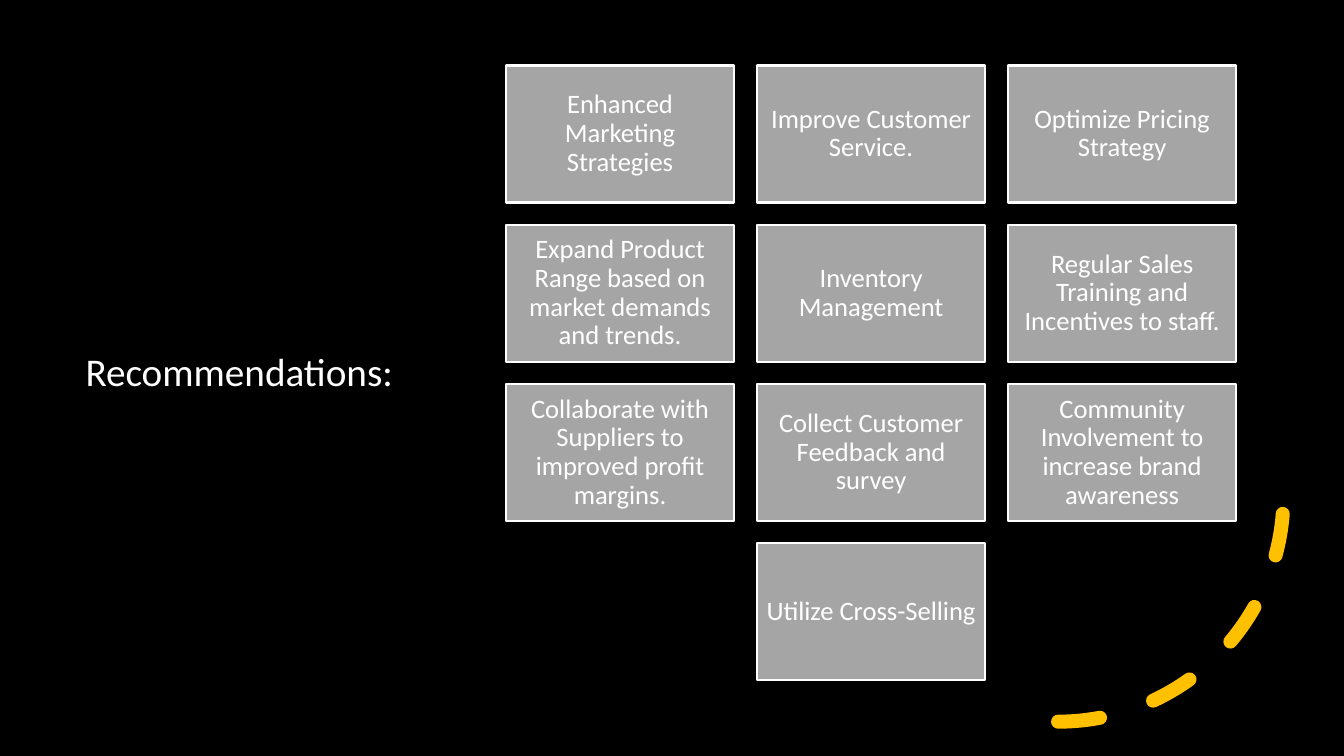
from pptx import Presentation
from pptx.dml.color import RGBColor
from pptx.enum.dml import MSO_LINE
from pptx.enum.shapes import MSO_SHAPE
from pptx.enum.text import MSO_ANCHOR, PP_ALIGN
from pptx.oxml.ns import qn
from pptx.util import Inches, Pt
from dataclasses import dataclass

TITLE = "Recommendations:"
ADVICE = [
    ["Enhanced Marketing Strategies", "Improve Customer Service.",
     "Optimize Pricing Strategy"],
    ["Expand Product Range based on market demands and trends.",
     "Inventory Management",
     "Regular Sales Training and Incentives to staff."],
    ["Collaborate with Suppliers to improved profit margins.",
     "Collect Customer Feedback and survey",
     "Community Involvement to increase brand awareness"],
    ["Utilize Cross-Selling"],
]


@dataclass(frozen=True)
class Theme:
    """Colours, font and sizes in points."""
    back: str = "000000"
    text: str = "FFFFFF"
    card: str = "A5A5A5"
    arc: str = "FFC000"
    font: str = "Calibri"
    title: int = 28
    body: int = 19
    edge: float = 1.5
    stroke: int = 10


THEME = Theme()
WIDE, HIGH = 13.33, 7.5
LEFT, TOP = 5.02, 0.65          # corner of the card grid
CARD_W, CARD_H = 2.26, 1.36
STEP_X, STEP_Y = 2.49, 1.58     # card plus gap
COLS = 3


def rgb(code):
    """Turn a hex code into a colour."""
    return RGBColor.from_string(code)


def write(shape, text, size=THEME.body, align=PP_ALIGN.CENTER, inset=0.08):
    """Put formatted text, centred in height, into a shape."""
    frame = shape.text_frame
    frame.word_wrap = True
    frame.vertical_anchor = MSO_ANCHOR.MIDDLE
    frame.margin_left = frame.margin_right = Inches(inset)
    frame.margin_top = frame.margin_bottom = Inches(0.08)
    para = frame.paragraphs[0]
    para.alignment, para.line_spacing = align, 0.9
    run = para.add_run()
    run.text = text
    run.font.name, run.font.size = THEME.font, Pt(size)
    run.font.color.rgb = rgb(THEME.text)


def shape_at(slide, kind, box, line, width, fill=None):
    """Add a preset shape with a line and an optional fill."""
    shape = slide.shapes.add_shape(kind, *map(Inches, box))
    shape.shadow.inherit = False
    if fill:
        shape.fill.solid()
        shape.fill.fore_color.rgb = rgb(fill)
    else:
        shape.fill.background()
    shape.line.color.rgb = rgb(line)
    shape.line.width = Pt(width)
    return shape


def add_arc(slide):
    """Add the dashed, round-capped arc in the lower right corner."""
    arc = shape_at(slide, MSO_SHAPE.ARC, (8.26, 2.69, 4.47, 4.47),
                   THEME.arc, THEME.stroke)
    arc.line.dash_style = MSO_LINE.DASH
    props = arc._element.spPr
    props.find(qn("a:xfrm")).set("flipV", "1")
    props.find(qn("a:ln")).set("cap", "rnd")


def add_cards(slide):
    """Lay out the cards in rows, with a short row centred."""
    for row, texts in enumerate(ADVICE):
        shift = (COLS - len(texts)) / 2
        for col, text in enumerate(texts):
            box = (LEFT + (col + shift) * STEP_X, TOP + row * STEP_Y,
                   CARD_W, CARD_H)
            card = shape_at(slide, MSO_SHAPE.RECTANGLE, box,
                            THEME.text, THEME.edge, fill=THEME.card)
            write(card, text)


def main():
    """Build and save the slide."""
    deck = Presentation()
    deck.slide_width, deck.slide_height = Inches(WIDE), Inches(HIGH)
    slide = deck.slides.add_slide(deck.slide_layouts[6])
    back = slide.background.fill
    back.solid()
    back.fore_color.rgb = rgb(THEME.back)
    title = slide.shapes.add_textbox(*map(Inches, (0.75, TOP, 3.5, 6.11)))
    write(title, TITLE, size=THEME.title, align=PP_ALIGN.LEFT, inset=0.1)
    add_arc(slide)
    add_cards(slide)
    deck.save("out.pptx")


main()
